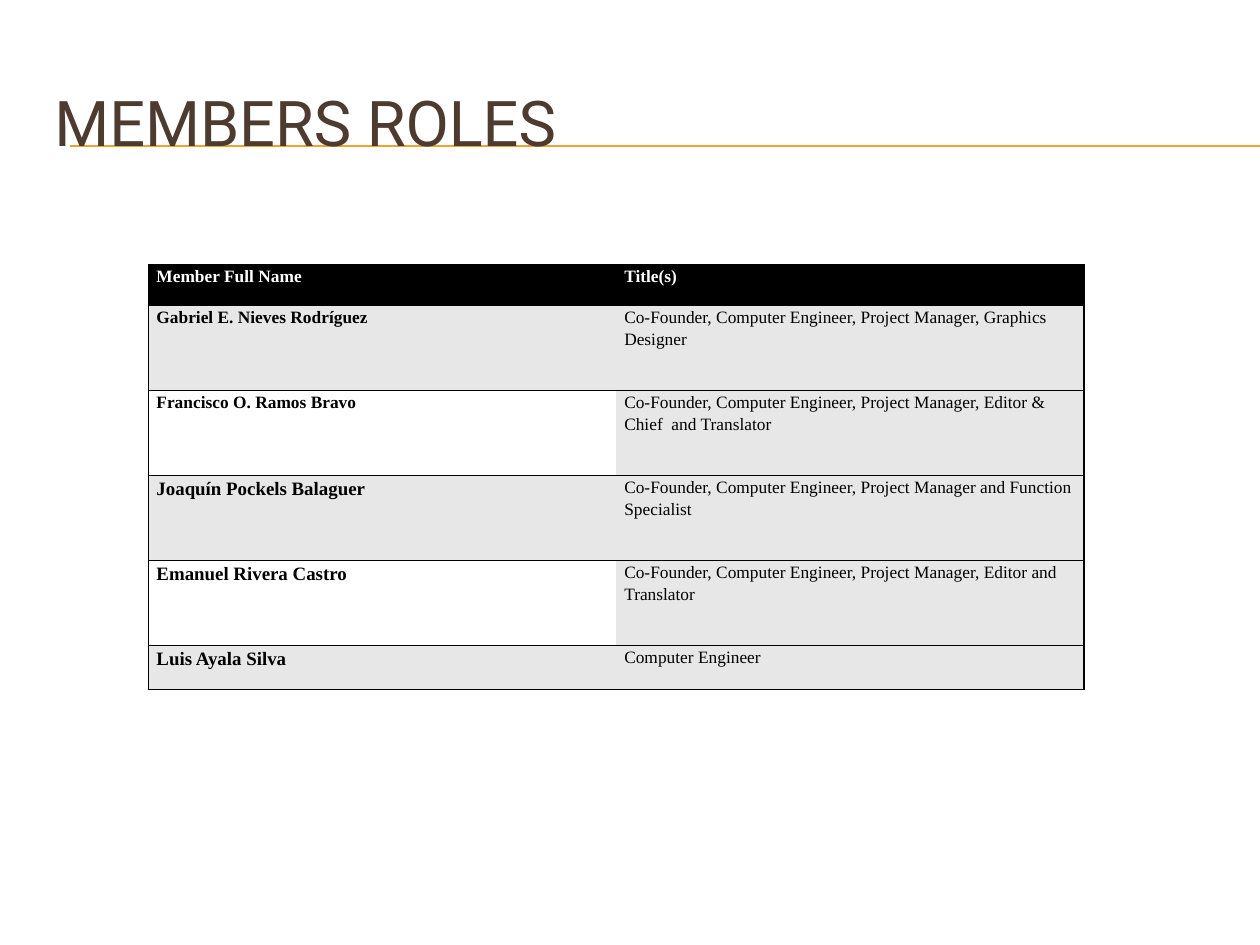
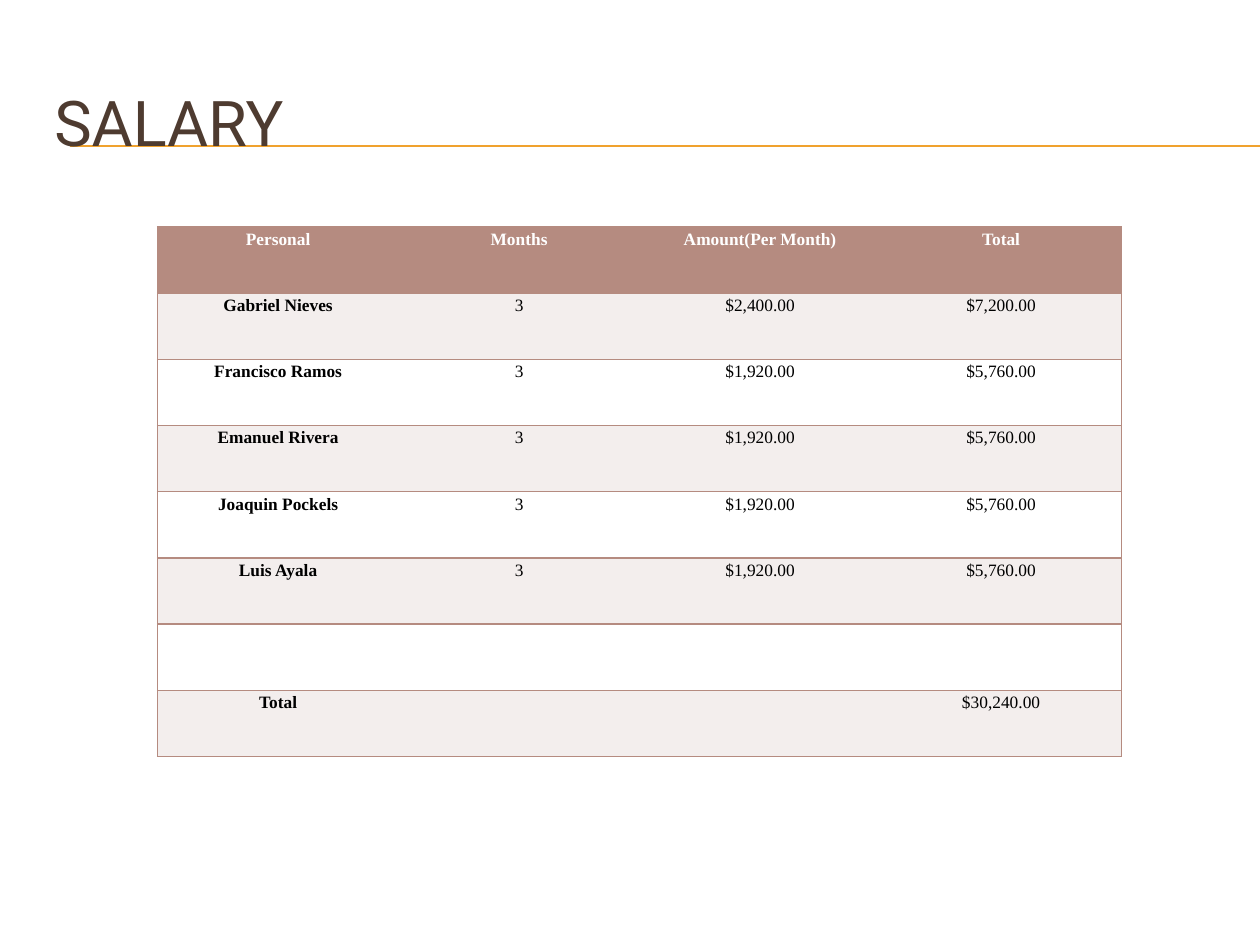
import pptx
import pptx.dml.color
import pptx.enum.shapes
import pptx.enum.text
import pptx.oxml.ns
import pptx.util
import lxml.etree

Inches = pptx.util.Inches
Pt = pptx.util.Pt
RGBColor = pptx.dml.color.RGBColor
Align = pptx.enum.text.PP_ALIGN

BLACK = RGBColor(0x00, 0x00, 0x00)
WHITE = RGBColor(0xFF, 0xFF, 0xFF)
GREY = RGBColor(0xE7, 0xE7, 0xE7)
ROSE = RGBColor(0xB5, 0x8B, 0x80)
PALE_ROSE = RGBColor(0xF3, 0xEE, 0xED)
BROWN = RGBColor(0x4E, 0x3B, 0x30)
ORANGE = RGBColor(0xF0, 0xA2, 0x2E)

TITLE_FONT = "Roboto"
TABLE_FONT = "Times New Roman"
SLIDE_WIDTH, SLIDE_HEIGHT = 11.11, 8.33
RULE_LEFT = 0.62
RULE_TOPS = (1.28, 1.29)

ROLES = [
    ("Member Full Name", "Title(s)"),
    ("Gabriel E. Nieves Rodríguez",
     "Co-Founder, Computer Engineer, Project Manager, Graphics Designer"),
    ("Francisco O. Ramos Bravo",
     "Co-Founder, Computer Engineer, Project Manager, Editor & Chief  and Translator"),
    ("Joaquín Pockels Balaguer",
     "Co-Founder, Computer Engineer, Project Manager and Function Specialist"),
    ("Emanuel Rivera Castro",
     "Co-Founder, Computer Engineer, Project Manager, Editor and Translator"),
    ("Luis Ayala Silva", "Computer Engineer"),
]

SALARIES = [
    ("Personal", "Months", "Amount(Per Month)", "Total"),
    ("Gabriel Nieves", "3", "$2,400.00", "$7,200.00"),
    ("Francisco Ramos", "3", "$1,920.00", "$5,760.00"),
    ("Emanuel Rivera", "3", "$1,920.00", "$5,760.00"),
    ("Joaquin Pockels", "3", "$1,920.00", "$5,760.00"),
    ("Luis Ayala", "3", "$1,920.00", "$5,760.00"),
    ("", "", "", ""),
    ("Total", "", "", "$30,240.00"),
]

PAGES = [
    {"title": "MEMBERS ROLES", "rows": ROLES, "at": (1.31, 2.33), "width": 8.25,
     "heights": [0.36] + [0.75] * 4 + [0.39], "align": Align.LEFT,
     "accent": BLACK, "band": GREY, "white_columns": 1, "large_names_from": 3},
    {"title": "SALARY", "rows": SALARIES, "at": (1.39, 2), "width": 8.5,
     "heights": [4.67 / len(SALARIES)] * len(SALARIES), "align": Align.CENTER,
     "accent": ROSE, "band": PALE_ROSE, "white_columns": 4,
     "large_names_from": len(SALARIES)},
]


def add_span(para, text, font, size, color, bold=False):
    span = para.add_run()
    span.text = text
    span.font.name = font
    span.font.size = Pt(size)
    span.font.bold = bold
    span.font.color.rgb = color


def add_rules(page):
    for top in RULE_TOPS:
        rule = page.shapes.add_connector(
            pptx.enum.shapes.MSO_CONNECTOR.STRAIGHT,
            Inches(RULE_LEFT), Inches(top), Inches(SLIDE_WIDTH), Inches(top))
        rule.line.color.rgb = ORANGE
        rule.line.width = Pt(0.75)
        lxml.etree.SubElement(rule._element.spPr, pptx.oxml.ns.qn("a:effectLst"))


def add_title(page, text):
    box = page.shapes.add_textbox(Inches(0.37), Inches(0.56), Inches(10.56), Inches(1.02))
    frame = box.text_frame
    frame.word_wrap = True
    frame.vertical_anchor = pptx.enum.text.MSO_ANCHOR.MIDDLE
    frame.margin_left = frame.margin_right = Inches(0.11)
    frame.margin_top = frame.margin_bottom = Inches(0.06)
    add_span(frame.paragraphs[0], text, TITLE_FONT, 40, BROWN)


def set_borders(cell, color, is_first, is_last):
    qn = pptx.oxml.ns.qn
    properties = cell._tc.get_or_add_tcPr()
    sides = {"L": is_first, "R": is_last, "T": True, "B": True}
    for side, visible in sides.items():
        border = lxml.etree.SubElement(properties, qn(f"a:ln{side}"), w=str(Pt(1)))
        if visible:
            fill = lxml.etree.SubElement(border, qn("a:solidFill"))
            lxml.etree.SubElement(fill, qn("a:srgbClr"), val=str(color))
        else:
            lxml.etree.SubElement(border, qn("a:noFill"))


def fill_cell(cell, text, row, column, design):
    is_header = row == 0
    is_name = column == 0
    set_borders(cell, design["accent"], is_name, column == len(design["rows"][0]) - 1)
    cell.fill.solid()
    if is_header:
        cell.fill.fore_color.rgb = design["accent"]
    elif row % 2 == 0 and column < design["white_columns"]:
        cell.fill.fore_color.rgb = WHITE
    else:
        cell.fill.fore_color.rgb = design["band"]
    cell.margin_left = cell.margin_right = Inches(0.07)
    cell.margin_top = cell.margin_bottom = 0
    if text:
        para = cell.text_frame.paragraphs[0]
        para.alignment = design["align"]
        para.line_spacing = 1.15
        size = 12 if is_name and row >= design["large_names_from"] else 11
        add_span(para, text, TABLE_FONT, size,
                 WHITE if is_header else BLACK, is_header or is_name)


def add_grid(page, design):
    rows, heights = design["rows"], design["heights"]
    left, top = design["at"]
    table = page.shapes.add_table(
        len(rows), len(rows[0]), Inches(left), Inches(top),
        Inches(design["width"]), Inches(sum(heights))).table
    table.first_row = table.horz_banding = False
    for column in table.columns:
        column.width = Inches(design["width"] / len(rows[0]))
    for row, texts in enumerate(rows):
        table.rows[row].height = Inches(heights[row])
        for column, text in enumerate(texts):
            fill_cell(table.cell(row, column), text, row, column, design)


def main():
    deck = pptx.Presentation()
    deck.slide_width = Inches(SLIDE_WIDTH)
    deck.slide_height = Inches(SLIDE_HEIGHT)
    for design in PAGES:
        page = deck.slides.add_slide(deck.slide_layouts[6])
        add_rules(page)
        add_title(page, design["title"])
        add_grid(page, design)
    deck.save("out.pptx")


if __name__ == "__main__":
    main()
